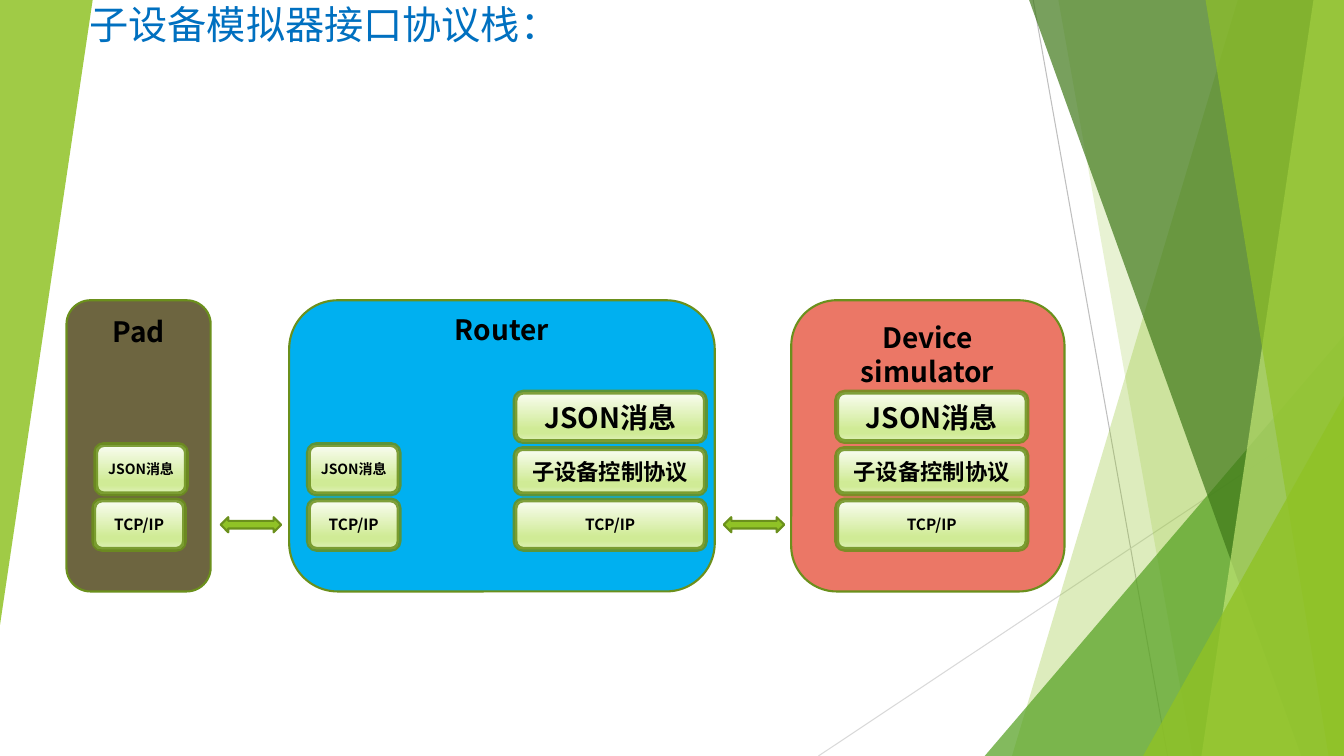
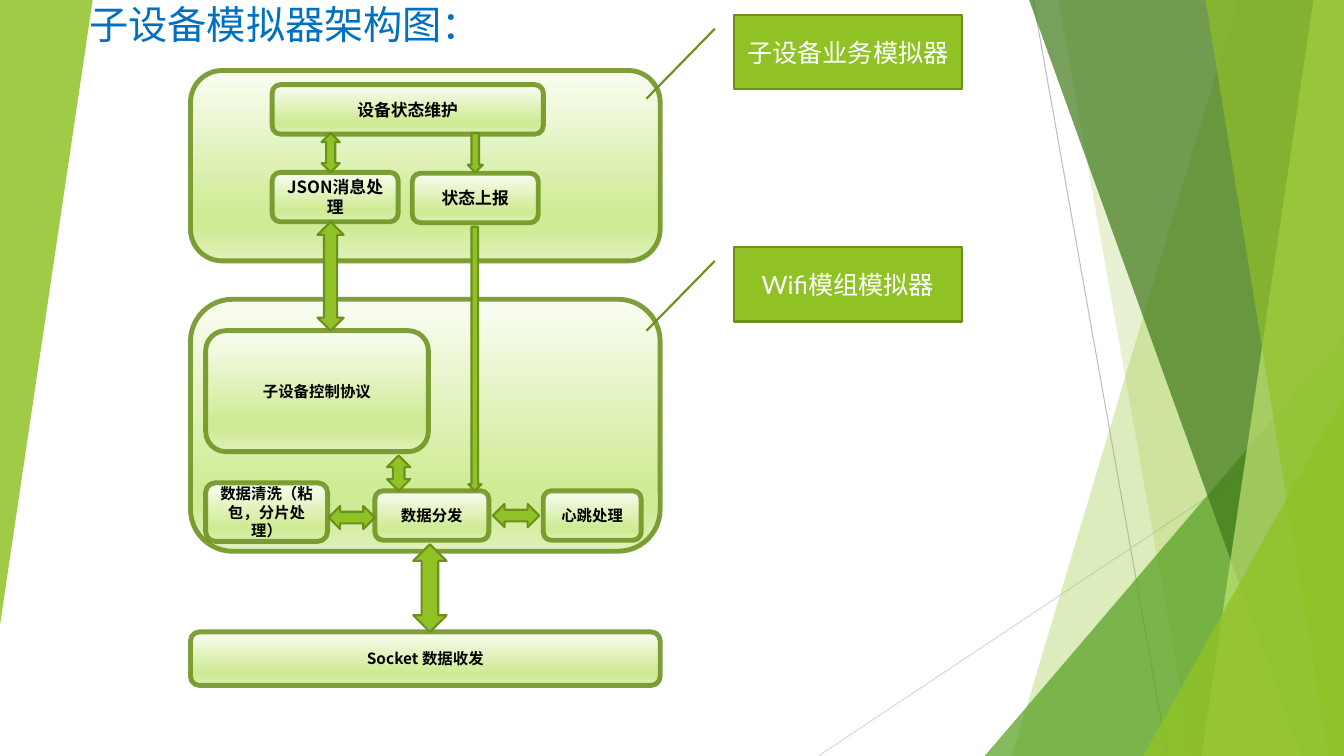
from dataclasses import dataclass
from typing import Optional

from lxml.etree import SubElement
from pptx import Presentation
from pptx.dml.color import RGBColor
from pptx.enum.shapes import MSO_CONNECTOR, MSO_SHAPE
from pptx.enum.text import MSO_ANCHOR, PP_ALIGN
from pptx.oxml.ns import qn
from pptx.util import Pt

# Shared look
WIDTH, HEIGHT = 960, 540
GREEN, OUTLINE = "90C226", "6B901C"
BLACK, WHITE, TITLE_BLUE = "000000", "FFFFFF", "0070C0"
NODE_STOPS = ((0, "FAFDF3"), (74, "D0EB96"), (83, "D0EB96"), (100, "DFF1B9"))
LATIN_FONT, CJK_FONT = "Lato", "Noto Sans CJK SC"
LEFT_RIGHT, UP_DOWN = MSO_SHAPE.LEFT_RIGHT_ARROW, MSO_SHAPE.UP_DOWN_ARROW
DOWN = MSO_SHAPE.DOWN_ARROW


@dataclass(frozen=True)
class Box:
    left: float
    top: float
    width: float
    height: float

    def lengths(self) -> tuple:
        return Pt(self.left), Pt(self.top), Pt(self.width), Pt(self.height)


@dataclass(frozen=True)
class Band:
    """Full-height strip reaching from a slanted left edge to the page's right."""
    top_x: float
    bottom_x: float
    color: str
    opacity: int


@dataclass(frozen=True)
class Wedge:
    """Right-angled triangle with its apex at one side."""
    box: Box
    color: str
    opacity: int
    rotation: int = 0


@dataclass(frozen=True)
class Node:
    box: Box
    text: str = ""
    size: float = 11


@dataclass(frozen=True)
class Panel:
    box: Box
    color: str
    label: str
    label_box: Box


@dataclass(frozen=True)
class Arrow:
    kind: MSO_SHAPE
    box: Box


RAYS = (
    (738, 0, 834, HEIGHT, "BFBFBF"),
    (WIDTH, 290.2, 584.6, HEIGHT, "D9D9D9"),
)
SHARDS = (
    Band(884.2, 722.9, GREEN, 30),
    Band(756, 851.8, GREEN, 20),
    Wedge(Box(703.4, 239.8, 256.6, 300.2), "54A021", 72),
    Band(735.1, 929.5, "3F7819", 70),
    Band(938.2, 858.2, "C0E474", 70),
    Band(861.1, 949, GREEN, 65),
    Wedge(Box(816.5, 283, 143.5, 257), GREEN, 80),
    Wedge(Box(0, 0, 66.2, 446.4), GREEN, 85, 180),
)


# Styling
def rgb(color: str) -> RGBColor:
    return RGBColor.from_string(color)


def set_opacity(parent, percent: int) -> None:
    color = next(parent.iter(qn("a:srgbClr")))
    SubElement(color, qn("a:alpha"), val=str(percent * 1000))


def paint(shape, color: str, line_width: float = 1.5) -> None:
    shape.shadow.inherit = False
    shape.fill.solid()
    shape.fill.fore_color.rgb = rgb(color)
    if line_width:
        shape.line.color.rgb = rgb(OUTLINE)
        shape.line.width = Pt(line_width)
    else:
        shape.line.fill.background()


def paint_node(shape) -> None:
    paint(shape, WHITE, 3.5)
    set_opacity(shape.line._get_or_add_ln(), 85)
    shape.fill.gradient()
    shape.fill.gradient_angle = 270
    stops = next(shape._element.iter(qn("a:gsLst")))
    for old_stop in list(stops):
        stops.remove(old_stop)
    for position, color in NODE_STOPS:
        stop = SubElement(stops, qn("a:gs"), pos=str(position * 1000))
        SubElement(stop, qn("a:srgbClr"), val=color)


def write(shape, text: str, size: float, color: str = BLACK,
          font: str = CJK_FONT, bold: bool = True,
          align: PP_ALIGN = PP_ALIGN.CENTER,
          anchor: MSO_ANCHOR = MSO_ANCHOR.MIDDLE) -> None:
    frame = shape.text_frame
    frame.word_wrap = True
    frame.vertical_anchor = anchor
    para = frame.paragraphs[0]
    para.text = text
    para.alignment = align
    para.font.name = font
    para.font.size = Pt(size)
    para.font.bold = bold
    para.font.color.rgb = rgb(color)
    defaults = next(para._p.iter(qn("a:defRPr")))
    SubElement(defaults, qn("a:ea"), typeface=CJK_FONT)


# Drawing
def draw_ray(page, x1: float, y1: float, x2: float, y2: float, color: str) -> None:
    ray = page.shapes.add_connector(
        MSO_CONNECTOR.STRAIGHT, Pt(x1), Pt(y1), Pt(x2), Pt(y2))
    ray.line.color.rgb = rgb(color)
    ray.line.width = Pt(0.75)
    SubElement(ray._element.spPr, qn("a:effectLst"))


def draw_shard(page, shard) -> None:
    if isinstance(shard, Band):
        outline = page.shapes.build_freeform(Pt(shard.top_x), 0)
        outline.add_line_segments([
            (Pt(WIDTH), 0), (Pt(WIDTH), Pt(HEIGHT)),
            (Pt(shard.bottom_x), Pt(HEIGHT))], close=True)
        shape = outline.convert_to_shape()
    else:
        shape = page.shapes.add_shape(
            MSO_SHAPE.ISOSCELES_TRIANGLE, *shard.box.lengths())
        shape.adjustments[0] = 1
        shape.rotation = shard.rotation
    paint(shape, shard.color, 0)
    set_opacity(shape._element.spPr, shard.opacity)


def draw_node(page, node: Node) -> None:
    shape = page.shapes.add_shape(
        MSO_SHAPE.FLOWCHART_ALTERNATE_PROCESS, *node.box.lengths())
    paint_node(shape)
    if node.text:
        write(shape, node.text, node.size)


def draw_panel(page, panel: Panel) -> None:
    shape = page.shapes.add_shape(
        MSO_SHAPE.ROUNDED_RECTANGLE, *panel.box.lengths())
    paint(shape, panel.color)
    label = page.shapes.add_textbox(*panel.label_box.lengths())
    write(label, panel.label, 20, anchor=MSO_ANCHOR.TOP)


def draw_arrow(page, arrow: Arrow) -> None:
    paint(page.shapes.add_shape(arrow.kind, *arrow.box.lengths()), GREEN)


def draw_callout(page, top: float, text: str) -> None:
    callout = page.shapes.add_shape(
        MSO_SHAPE.LINE_CALLOUT_1, *Box(524.2, top, 163, 53.3).lengths())
    paint(callout, GREEN)
    write(callout, text, 18, WHITE, LATIN_FONT, bold=False)


def add_page(deck, title: Optional[str]):
    page = deck.slides.add_slide(deck.slide_layouts[6])
    for ray in RAYS:
        draw_ray(page, *ray)
    for shard in SHARDS:
        draw_shard(page, shard)
    box = page.shapes.add_textbox(*Box(56.9, -3.6, 473, 41).lengths())
    write(box, title, 28, TITLE_BLUE, LATIN_FONT, False,
          PP_ALIGN.LEFT, MSO_ANCHOR.TOP)
    return page


deck = Presentation()
deck.slide_width, deck.slide_height = Pt(WIDTH), Pt(HEIGHT)

# Protocol stack
PANEL_TOP, PANEL_HEIGHT = 214.5, 208
PANELS = (
    Panel(Box(565.2, PANEL_TOP, 195.2, PANEL_HEIGHT), "EB7766",
          "Device simulator", Box(573.8, 225.4, 177.6, 31.7)),
    Panel(Box(206.6, PANEL_TOP, 304, PANEL_HEIGHT), "00B0F0",
          "Router", Box(317.5, 219.6, 82, 31.7)),
    Panel(Box(47.5, PANEL_TOP, 103, PANEL_HEIGHT), "6D6540",
          "Pad", Box(64, 221, 70, 31.7)),
)
WIDE_LAYERS = (
    ("JSON消息", 280.1, 35.3, 20),
    ("子设备控制协议", 320.4, 32.4, 16),
    ("TCP/IP", 357.1, 35.3, 11),
)
page = add_page(deck, "子设备模拟器接口协议栈：")
for panel in PANELS:
    draw_panel(page, panel)
for left in (597.6, 367.9):
    for text, top, height, size in WIDE_LAYERS:
        draw_node(page, Node(Box(left, top, 136, height), text, size))
for json_left, tcp_left in ((220.3, 220.3), (68.4, 67)):
    draw_node(page, Node(Box(tcp_left, 357.1, 64.8, 35.3), "TCP/IP"))
    draw_node(page, Node(Box(json_left, 317.5, 64.8, 35.3), "JSON消息", 10))
for left in (517, 157.7):
    draw_arrow(page, Arrow(LEFT_RIGHT, Box(left, 369.4, 43.2, 10.8)))

# Architecture
LAYER_LEFT, LAYER_WIDTH = 136.1, 335.5
ARCHITECTURE = (
    Node(Box(LAYER_LEFT, 50.4, LAYER_WIDTH, 136)),
    Node(Box(LAYER_LEFT, 213.8, LAYER_WIDTH, 180)),
    Node(Box(LAYER_LEFT, 451.4, LAYER_WIDTH, 38.2), "Socket 数据收发"),
    Arrow(UP_DOWN, Box(295.2, 388.8, 23.8, 62.6)),
    Node(Box(267.8, 350.6, 81.4, 35.3), "数据分发"),
    Node(Box(388, 350.6, 70, 35.3), "心跳处理"),
    Node(Box(146.9, 344.9, 87.1, 41.8), "数据清洗（粘包，分片处理）"),
    Arrow(LEFT_RIGHT, Box(234.7, 361.4, 33.1, 16.6)),
    Node(Box(146.9, 236.2, 159.1, 86.4), "子设备控制协议"),
    Arrow(UP_DOWN, Box(276.5, 325.4, 16.6, 25.2)),
    Node(Box(194.4, 123.1, 90, 35.3), "JSON消息处理", 12),
    Node(Box(194.4, 60.5, 193.7, 35.3), "设备状态维护", 12),
    Node(Box(294.5, 123.8, 90, 35.3), "状态上报", 12),
    Arrow(LEFT_RIGHT, Box(352.1, 360, 33.1, 16.6)),
    Arrow(UP_DOWN, Box(226.8, 158.4, 18.7, 77.8)),
    Arrow(UP_DOWN, Box(229.7, 95, 13, 28.1)),
    Arrow(DOWN, Box(334.1, 95, 10.8, 28.1)),
    Arrow(DOWN, Box(334.5, 162, 9.4, 188.6)),
)
page = add_page(deck, "子设备模拟器架构图：")
for part in ARCHITECTURE:
    if isinstance(part, Node):
        draw_node(page, part)
    else:
        draw_arrow(page, part)
for top, text in ((10.6, "子设备业务模拟器"), (176.4, "Wifi模组模拟器")):
    draw_callout(page, top, text)

deck.save("out.pptx")
